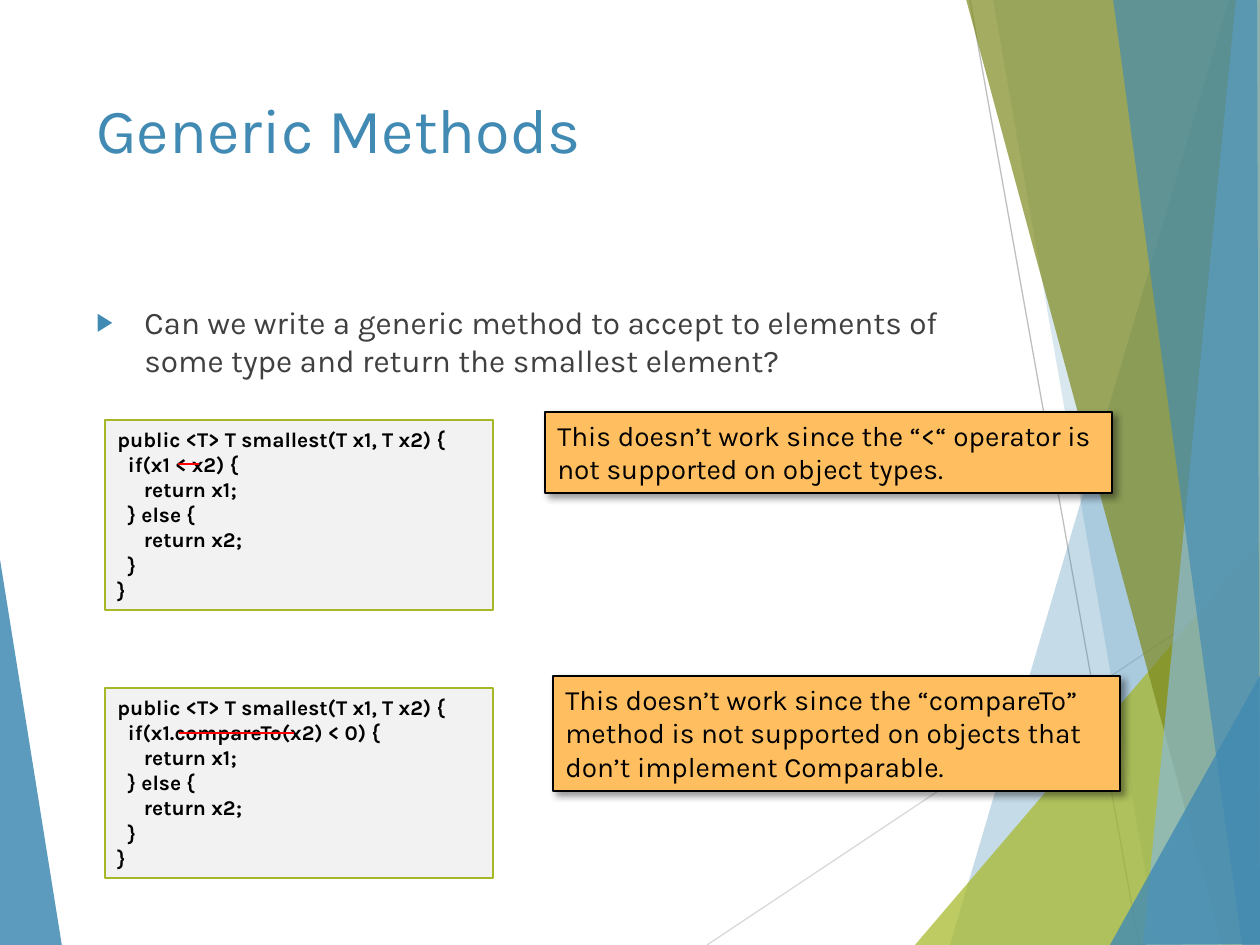
from lxml import etree
from pptx import Presentation
from pptx.dml.color import RGBColor
from pptx.enum.shapes import MSO_CONNECTOR, MSO_SHAPE
from pptx.enum.text import MSO_ANCHOR, PP_ALIGN
from pptx.oxml import parse_xml
from pptx.oxml.ns import qn
from pptx.util import Pt

PX = 914400 / 126
FONT = "Karla"
NS = 'xmlns:a="http://schemas.openxmlformats.org/drawingml/2006/main"'
STRAIGHT, RECT = MSO_CONNECTOR.STRAIGHT, MSO_SHAPE.RECTANGLE
LEFT, TOP = PP_ALIGN.LEFT, MSO_ANCHOR.TOP

BLUE = RGBColor(0x41, 0x8A, 0xB3)
PALE_BLUE = RGBColor(0x8A, 0xBA, 0xD4)
GREEN = RGBColor(0xA6, 0xB7, 0x27)
OLIVE = RGBColor(0x7D, 0x89, 0x1D)
ORANGE = RGBColor(0xFF, 0xBF, 0x61)
RED = RGBColor(0xFF, 0, 0)
BLACK = RGBColor(0, 0, 0)
DARK = RGBColor(0x40, 0x40, 0x40)
PANEL = RGBColor(0xF2, 0xF2, 0xF2)
GRAY = RGBColor(0xBF, 0xBF, 0xBF)
LIGHT_GRAY = RGBColor(0xD9, 0xD9, 0xD9)

prs = Presentation()
prs.slide_width, prs.slide_height = round(1260 * PX), round(945 * PX)
slide = prs.slides.add_slide(prs.slide_layouts[6])
shapes = slide.shapes


def add_line(x1, y1, x2, y2, color, width):
    ln = shapes.add_connector(STRAIGHT, *(round(v * PX) for v in (x1, y1, x2, y2)))
    ln.line.color.rgb = color
    ln.line.width = Pt(width)
    etree.SubElement(ln._element.spPr, qn("a:effectLst"))


def add_text(box, lines, size, color, fill=None, border=None, bold=False):
    """Add a plain text box, or a bordered rectangle when a fill is given."""
    place = [round(v * PX) for v in box]
    if fill is None:
        sp = shapes.add_textbox(*place)
    else:
        sp = shapes.add_shape(RECT, *place)
        sp.shadow.inherit = False
        sp.fill.solid()
        sp.fill.fore_color.rgb = fill
        sp.line.color.rgb = border
        sp.line.width = Pt(1)
    tf = sp.text_frame
    tf.word_wrap = True
    tf.vertical_anchor = TOP
    tf.text = "\n".join(lines)
    for p in tf.paragraphs:
        p.alignment = LEFT
        p.font.name = FONT
        p.font.size = Pt(size)
        p.font.bold = bold
        p.font.color.rgb = color
    return sp


# Background facets, from back to front: fill, opacity in percent, corners
facets = [
    (BLUE, 85, [(-1, 553), (62, 946), (-1, 945)]),
    (BLUE, 30, [(1229, 0), (950, 945), (1263, 946), (1261, 1)]),
    (BLUE, 20, [(993, -1), (1158, 945), (1261, 945), (1261, -1)]),
    (GREEN, 72, [(915, 945), (1260, 541), (1261, 945)]),
    (OLIVE, 70, [(966, -1), (1222, 945), (1261, 944), (1261, -1)]),
    (PALE_BLUE, 70, [(1236, -1), (1143, 945), (1261, 945), (1260, -1)]),
    (BLUE, 65, [(1113, -1), (1242, 945), (1260, 945), (1257, -1)]),
    (BLUE, 80, [(1110, 945), (1261, 674), (1261, 944)]),
]
add_line(707, 945, 1261, 576, LIGHT_GRAY, 0.75)
add_line(970, 0, 1139, 945, GRAY, 0.75)
for color, opacity, corners in facets:
    outline = shapes.build_freeform(*corners[0], scale=PX)
    outline.add_line_segments(corners[1:], close=True)
    sp = outline.convert_to_shape()
    sp.shadow.inherit = False
    sp.line.fill.background()
    sp.fill.solid()
    sp.fill.fore_color.rgb = color
    clr = sp._element.spPr.find(qn("a:solidFill"))[0]
    etree.SubElement(clr, qn("a:alpha"), val=str(opacity * 1000))

# Title and question
add_text((84, 84, 875, 181), ["Generic Methods"], 36, BLUE)
question = add_text((84, 297, 875, 534), [
    "Can we write a generic method to accept to elements of "
    "some type and return the smallest element?"], 18, DARK)
pPr = question.text_frame.paragraphs[0]._p.get_or_add_pPr()
pPr.set("marL", str(round(48 * PX)))
pPr.set("indent", str(round(-48 * PX)))
bullet = [
    f'<a:buClr {NS}><a:srgbClr val="{BLUE}"/></a:buClr>',
    f'<a:buSzPct {NS} val="80000"/>',
    f'<a:buFont {NS} typeface="Arial"/>',
    f'<a:buChar {NS} char="▶"/>',
]
for i, xml in enumerate(bullet):
    pPr.insert(i, parse_xml(xml))

# Each attempt: code top, condition, note box, note, strike-through ends
attempts = [
    (420, "x1 < x2", (545, 412, 567, 81),
     "This doesn’t work since the “<“ operator is not supported on object types.",
     (178, 464, 199)),
    (688, "x1.compareTo(x2) < 0", (553, 676, 567, 115),
     "This doesn’t work since the “compareTo” method is not supported "
     "on objects that don’t implement Comparable.",
     (179, 733, 294)),
]
for top, condition, note_box, note, (x1, y, x2) in attempts:
    code = [
        "public <T> T smallest(T x1, T x2) {",
        f"  if({condition}) {{",
        "     return x1;",
        "  } else {",
        "     return x2;",
        "  }",
        "}",
    ]
    add_text((105, top, 388, 190), code, 12, BLACK, PANEL, GREEN, bold=True)
    sp = add_text(note_box, [note], 16, BLACK, ORANGE, BLACK)
    effects = sp._element.spPr.find(qn("a:effectLst"))
    effects.append(parse_xml(
        f'<a:outerShdw {NS} blurRad="50800" dist="38100" dir="2700000" algn="tl" '
        'rotWithShape="0"><a:srgbClr val="000000"><a:alpha val="40000"/>'
        '</a:srgbClr></a:outerShdw>'))
    add_line(x1, y, x2, y, RED, 1.5)

prs.save("out.pptx")
